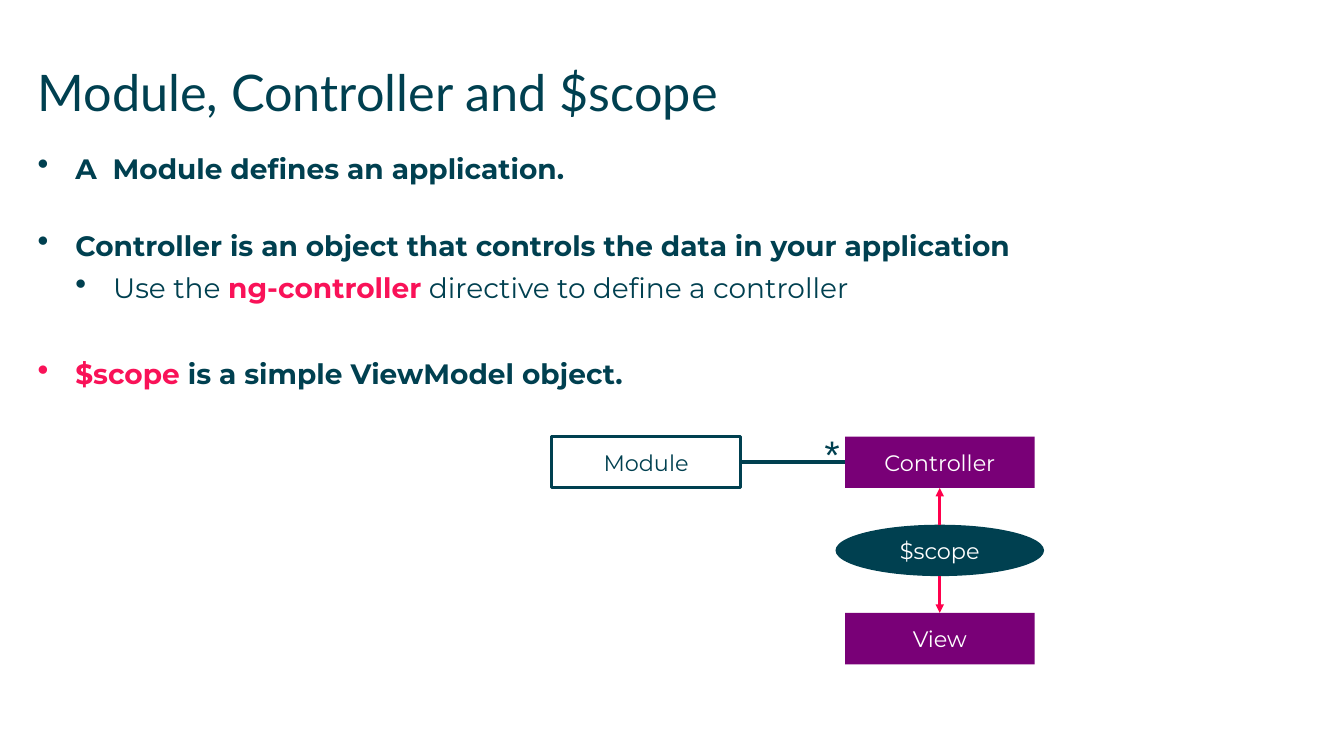
import pptx
import pptx.util
import pptx.dml.color
import pptx.enum.shapes
import pptx.enum.text
import pptx.oxml
import pptx.oxml.ns

Pt = pptx.util.Pt
SHAPES = pptx.enum.shapes.MSO_SHAPE
COLORS = {"teal": "004050", "pink": "F91258", "arrow": "FF004C",
          "purple": "790077", "white": "FFFFFF"}


def color(name):
    return pptx.dml.color.RGBColor.from_string(COLORS[name])


def add_xml(parent, tag, attributes=""):
    namespace = pptx.oxml.ns.nsdecls("a")
    parent.append(pptx.oxml.parse_xml(f"<a:{tag} {namespace} {attributes}/>"))


def add_text(paragraph, text, *, size, font="Montserrat", ink="teal", bold=False):
    run = paragraph.add_run()
    run.text = text
    run.font.size = Pt(size)
    run.font.name = font
    run.font.bold = bold
    run.font.color.rgb = color(ink)


def add_frame(slide, left, top, width, height, wrap=True, inset=0):
    frame = slide.shapes.add_textbox(Pt(left), Pt(top), Pt(width), Pt(height)).text_frame
    frame.word_wrap = wrap
    frame.margin_left = frame.margin_right = Pt(2 * inset)
    frame.margin_top = frame.margin_bottom = Pt(inset)
    return frame


def add_title(slide, left, top, width, height):
    frame = add_frame(slide, left, top, width, height)
    add_text(frame.paragraphs[0], "Module, Controller and $scope", size=36, font="Lato")


def add_bullets(slide, left, top, width, height):
    # Each point: indent level, space after, runs of (text, ink, bold)
    points = [
        (0, 30.9, [("A  Module defines an application.", "teal", True)]),
        (0, 6.5, [("Controller is an object that controls the data in your application",
                   "teal", True)]),
        (1, 37.4, [("Use the ", "teal", False), ("ng-controller", "pink", True),
                   (" directive to define a controller", "teal", False)]),
        (0, 6.5, [("$scope ", "pink", True),
                  ("is a simple ViewModel object.", "teal", True)]),
    ]
    frame = add_frame(slide, left, top, width, height)
    for index, (level, gap, runs) in enumerate(points):
        point = frame.add_paragraph() if index else frame.paragraphs[0]
        point.level = level
        point.space_after = Pt(gap)
        properties = point._p.get_or_add_pPr()
        properties.set("marL", str(Pt(27 * (level + 1))))
        properties.set("indent", str(-Pt(27)))
        add_xml(properties, "buSzPct", 'val="115000"')
        add_xml(properties, "buChar", 'char="•"')
        for text, ink, bold in runs:
            add_text(point, text, size=20, ink=ink, bold=bold)


def add_node(slide, label, left, top, width, height, *, kind=SHAPES.RECTANGLE,
             fill="purple", ink="white", line=None):
    node = slide.shapes.add_shape(kind, Pt(left), Pt(top), Pt(width), Pt(height))
    node.shadow.inherit = False
    node.fill.solid()
    node.fill.fore_color.rgb = color(fill)
    if line:
        node.line.color.rgb = color(line)
        node.line.width = Pt(2)
    else:
        node.line.fill.background()
    node.text_frame.vertical_anchor = pptx.enum.text.MSO_ANCHOR.MIDDLE
    paragraph = node.text_frame.paragraphs[0]
    paragraph.alignment = pptx.enum.text.PP_ALIGN.CENTER
    add_text(paragraph, label, size=16, ink=ink)
    return node


def add_link(slide, start, end, *, ink, width, arrow=False):
    link = slide.shapes.add_connector(pptx.enum.shapes.MSO_CONNECTOR.STRAIGHT,
                                      *(Pt(value) for value in start + end))
    link.line.color.rgb = color(ink)
    link.line.width = Pt(width)
    if arrow:
        add_xml(link.line._get_or_add_ln(), "tailEnd", 'type="triangle"')
    add_xml(link._element.spPr, "effectLst")
    return link


def add_diagram(slide, left, top, width, height):
    node_width, node_height, scope_width = 135.4, 36.7, 149
    pitch = (height - node_height) / 2
    center = left + width - scope_width / 2
    column = center - node_width / 2
    scope_top, view_top = top + pitch, top + 2 * pitch
    middle = top + node_height / 2

    # Nodes
    module = add_node(slide, "Module", left, top, node_width, node_height,
                      fill="white", ink="teal", line="teal")
    controller = add_node(slide, "Controller", column, top, node_width, node_height)
    view = add_node(slide, "View", column, view_top, node_width, node_height)
    add_node(slide, "$scope", center - scope_width / 2, scope_top, scope_width,
             node_height, kind=SHAPES.OVAL, fill="teal")

    # Scope binds controller and view
    to_controller = add_link(slide, (center, scope_top), (center, top + node_height),
                             ink="arrow", width=2, arrow=True)
    to_controller.end_connect(controller, 2)
    to_view = add_link(slide, (center, scope_top + node_height), (center, view_top),
                       ink="arrow", width=2, arrow=True)
    to_view.end_connect(view, 0)

    # One module has many controllers
    contains = add_link(slide, (left + node_width, middle), (column, middle),
                        ink="teal", width=3)
    contains.begin_connect(module, 3)
    contains.end_connect(controller, 1)
    many = add_frame(slide, column - 24.6, top - 7.2, 31.7, 41, wrap=False, inset=3.6)
    add_text(many.paragraphs[0], "*", size=28, font="Courier New")


def main():
    deck = pptx.Presentation()
    deck.slide_width, deck.slide_height = Pt(960), Pt(540)
    slide = deck.slides.add_slide(deck.slide_layouts[6])
    add_title(slide, 26.8, 44, 907, 63)
    add_bullets(slide, 26.8, 108, 907, 154)
    add_diagram(slide, 393.8, 311.8, 352, 162.7)
    deck.save("out.pptx")


if __name__ == "__main__":
    main()
